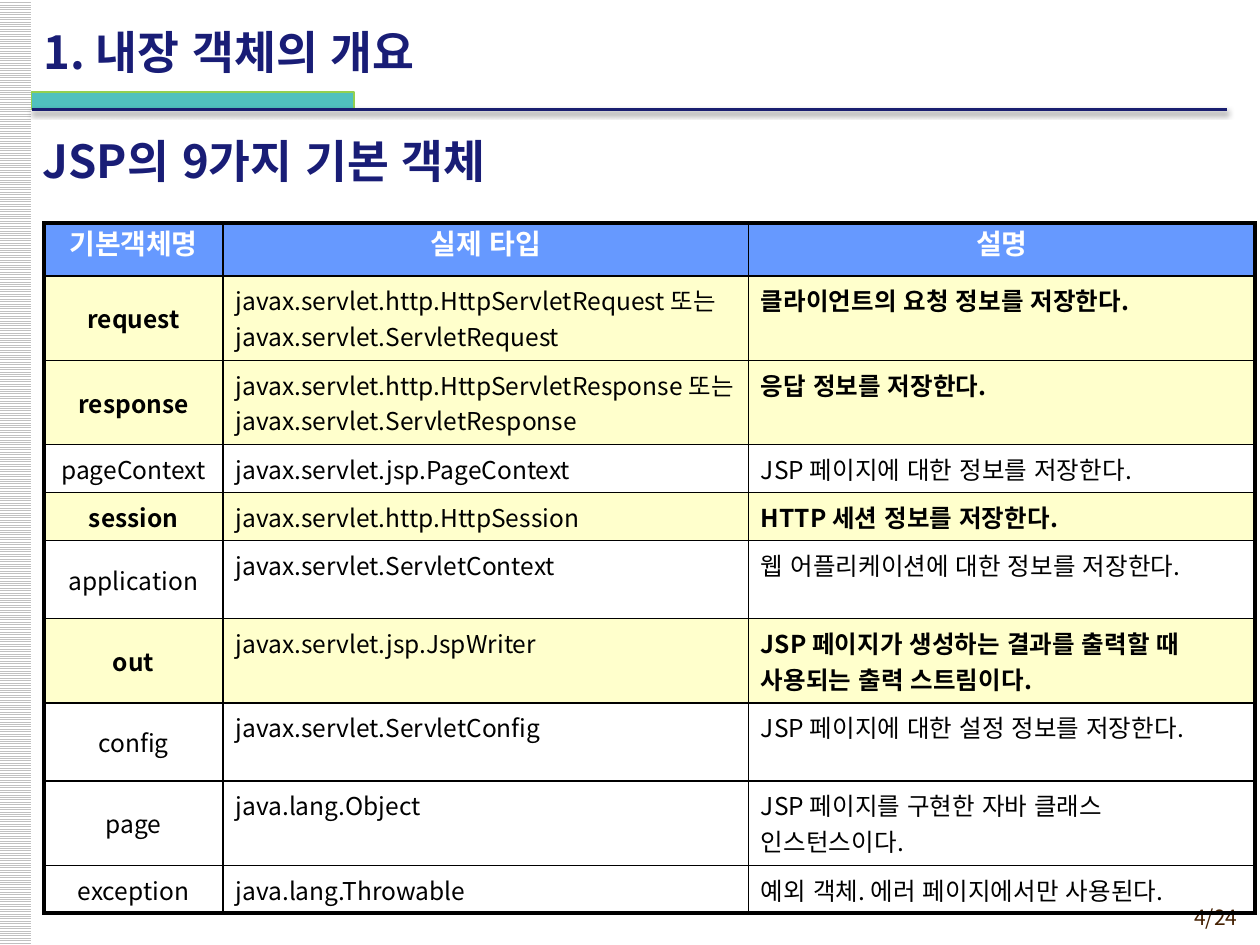
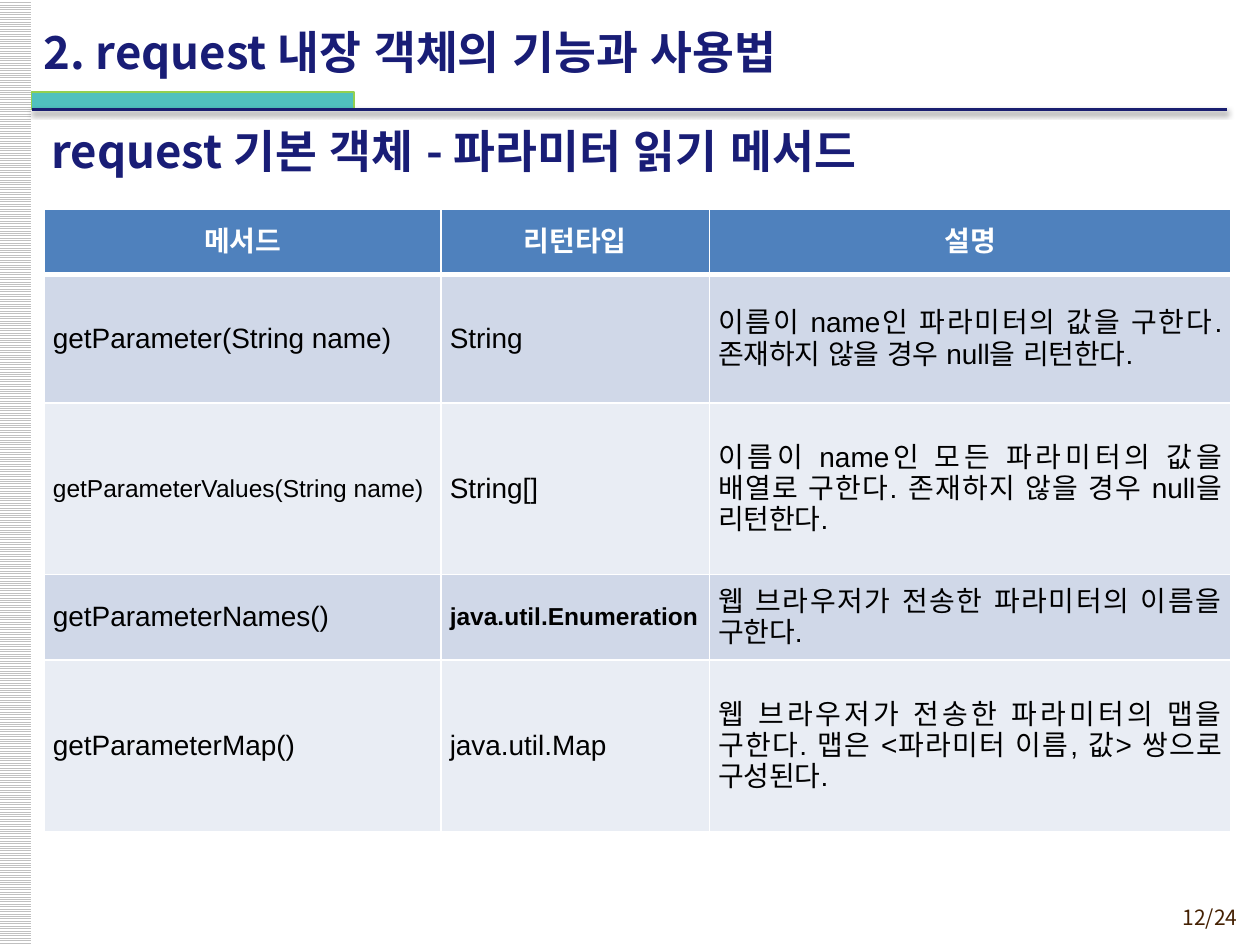
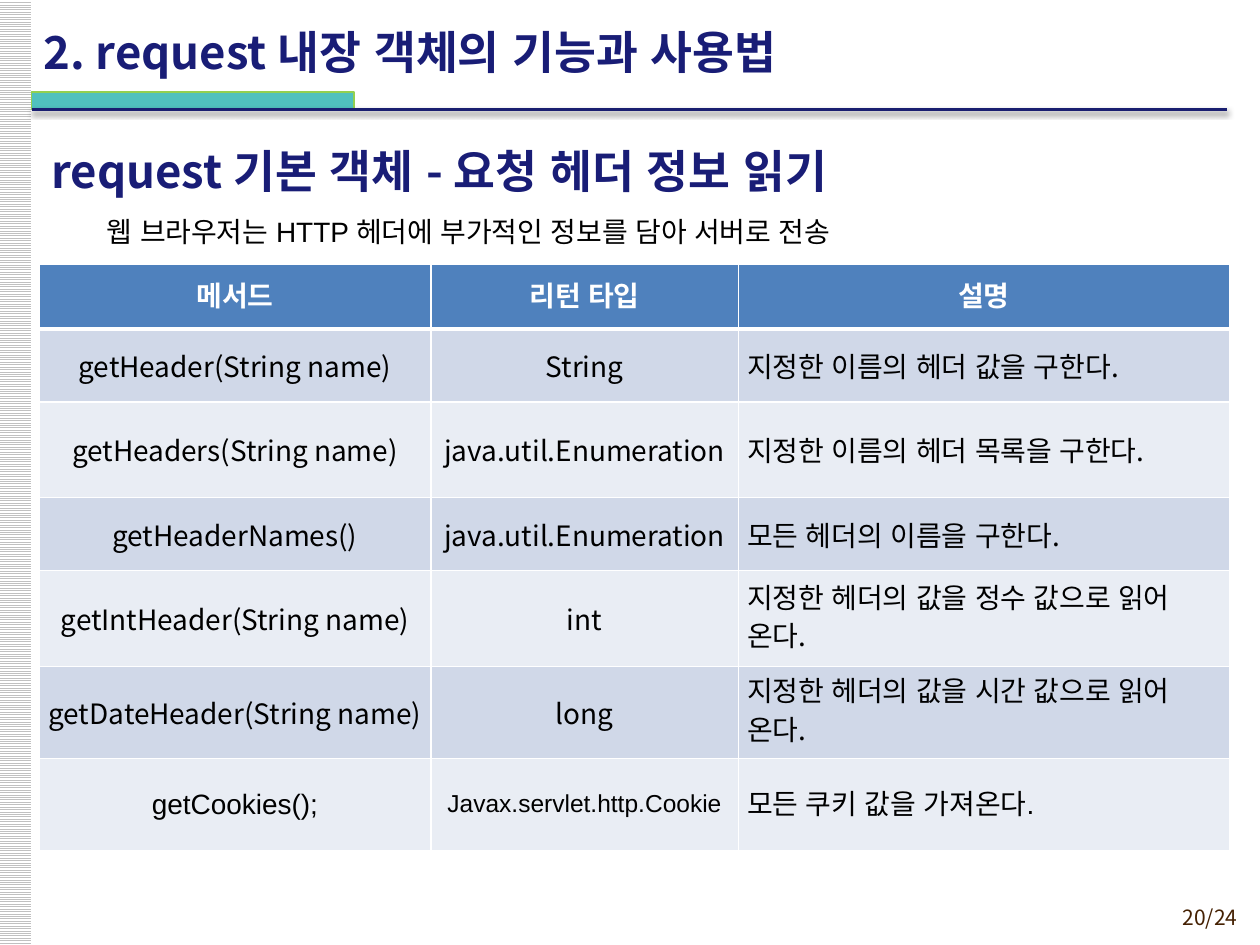
import pptx
import pptx.util
import pptx.dml.color
import pptx.enum.dml
import pptx.enum.shapes
import pptx.enum.text
import pptx.oxml
import pptx.oxml.ns

Inches, Pt = pptx.util.Inches, pptx.util.Pt
ALIGN = {"l": pptx.enum.text.PP_ALIGN.LEFT, "c": pptx.enum.text.PP_ALIGN.CENTER,
         "r": pptx.enum.text.PP_ALIGN.RIGHT, "j": pptx.enum.text.PP_ALIGN.JUSTIFY}
ANCHOR = {"t": pptx.enum.text.MSO_ANCHOR.TOP, "m": pptx.enum.text.MSO_ANCHOR.MIDDLE}

KOREAN, LATIN = "Noto Sans CJK KR", "Arial"
COLORS = {"title": "191D76", "rule": "191E70", "accent": "50C1BE", "accent_edge": "92D050",
          "stripe": "C0C0C0", "white": "FFFFFF", "black": "000000", "page": "452103",
          "object_head": "6699FF", "highlight": "FFFFCC",
          "method_head": "4F81BD", "band_dark": "D0D8E8", "band_light": "E9EDF4"}
W, H = 10, 7.5
EDGE = 0.25          # right side of the striped margin
TOTAL_PAGES = 24

# ---- Content ----
REQUEST_TITLE = "2. request 내장 객체의 기능과 사용법"
SMALL = {"size": 14}

OBJECTS = [
    ("기본객체명", "실제 타입", "설명"),
    ("request", "javax.servlet.http.HttpServletRequest 또는 javax.servlet.ServletRequest",
     "클라이언트의 요청 정보를 저장한다."),
    ("response", "javax.servlet.http.HttpServletResponse 또는 javax.servlet.ServletResponse",
     "응답 정보를 저장한다."),
    ("pageContext", "javax.servlet.jsp.PageContext", "JSP 페이지에 대한 정보를 저장한다."),
    ("session", "javax.servlet.http.HttpSession", "HTTP 세션 정보를 저장한다."),
    ("application", "javax.servlet.ServletContext", "웹 어플리케이션에 대한 정보를 저장한다."),
    ("out", "javax.servlet.jsp.JspWriter",
     "JSP 페이지가 생성하는 결과를 출력할 때 사용되는 출력 스트림이다."),
    ("config", "javax.servlet.ServletConfig", "JSP 페이지에 대한 설정 정보를 저장한다."),
    ("page", "java.lang.Object", "JSP 페이지를 구현한 자바 클래스 인스턴스이다."),
    ("exception", "java.lang.Throwable", "예외 객체. 에러 페이지에서만 사용된다."),
]
KEY_OBJECTS = {"request", "response", "session", "out"}

# A cell is its text, or its text with a format of its own
PARAMETERS = [
    ("메서드", "리턴타입", "설명"),
    ("getParameter(String name)", "String",
     "이름이 name인 파라미터의 값을 구한다. 존재하지 않을 경우 null을 리턴한다."),
    (("getParameterValues(String name)", SMALL), "String[]",
     "이름이 name인 모든 파라미터의 값을 배열로 구한다. 존재하지 않을 경우 null을 리턴한다."),
    ("getParameterNames()", ("java.util.Enumeration", {"size": 14, "bold": True}),
     "웹 브라우저가 전송한 파라미터의 이름을 구한다."),
    ("getParameterMap()", "java.util.Map",
     "웹 브라우저가 전송한 파라미터의 맵을 구한다. 맵은 <파라미터 이름, 값> 쌍으로 구성된다."),
]

HEADERS = [
    ("메서드", "리턴 타입", "설명"),
    ("getHeader(String name)", "String", "지정한 이름의 헤더 값을 구한다."),
    ("getHeaders(String name)", "java.util.Enumeration", "지정한 이름의 헤더 목록을 구한다."),
    ("getHeaderNames()", "java.util.Enumeration", "모든 헤더의 이름을 구한다."),
    ("getIntHeader(String name)", "int", "지정한 헤더의 값을 정수 값으로 읽어 온다."),
    ("getDateHeader(String name)", "long", "지정한 헤더의 값을 시간 값으로 읽어 온다."),
    (("getCookies();", {"font": LATIN}),
     ("Javax.servlet.http.Cookie", {"font": LATIN, "size": 14}),
     ("모든 쿠키 값을 가져온다.", {"font": LATIN})),
]


# ---- Helpers ----
def rgb(name):
    return pptx.dml.color.RGBColor.from_string(COLORS[name])


def write(tf, text, size=16, font=KOREAN, color="black", bold=False, align="l"):
    p = tf.paragraphs[0]
    p.alignment = ALIGN[align]
    r = p.add_run()
    r.text = text
    r.font.size, r.font.bold, r.font.name = Pt(size), bold, font
    r.font.color.rgb = rgb(color)
    # Hangul falls back to the Korean font, with the wider spaces of the Latin one
    ea = pptx.oxml.parse_xml(f'<a:ea {pptx.oxml.ns.nsdecls("a")} typeface="{LATIN}"/>')
    r.font._element.append(ea)


def add_text(s, box, text, anchor="t", wrap=True, **fmt):
    tf = s.shapes.add_textbox(*map(Inches, box)).text_frame
    tf.word_wrap = wrap
    tf.vertical_anchor = ANCHOR[anchor]
    write(tf, text, **fmt)


def add_heading(s, box, text):
    add_text(s, box, text, anchor="m", size=26, color="title", bold=True)


def add_rect(s, *box):
    sp = s.shapes.add_shape(pptx.enum.shapes.MSO_SHAPE.RECTANGLE, *map(Inches, box))
    sp.shadow.inherit = False
    return sp


def add_frame(prs, title, page):
    """Striped margin, page number, title and title rule of every slide."""
    s = prs.slides.add_slide(prs.slide_layouts[6])

    margin = add_rect(s, -0.01, 0, EDGE + 0.01, H)
    margin.fill.patterned()
    margin.fill.pattern = pptx.enum.dml.MSO_PATTERN.LIGHT_HORIZONTAL
    margin.fill.fore_color.rgb = rgb("stripe")
    margin.fill.back_color.rgb = rgb("white")
    margin.line.fill.background()

    add_text(s, (8.86, 7.13, 1.06, 0.29), f"{page}/{TOTAL_PAGES}",
             size=12, color="page", align="r")

    accent = add_rect(s, EDGE, 0.73, 2.56, 0.14)
    accent.fill.solid()
    accent.fill.fore_color.rgb = rgb("accent")
    accent.line.color.rgb = rgb("accent_edge")
    accent.line.width = Pt(0.75)

    rule = s.shapes.add_connector(pptx.enum.shapes.MSO_CONNECTOR.STRAIGHT,
                                  *map(Inches, (EDGE, 0.87, 9.74, 0.87)))
    rule.line.color.rgb = rgb("rule")
    rule.line.width = Pt(2)
    rule._element.spPr.append(pptx.oxml.parse_xml(
        f'<a:effectLst {pptx.oxml.ns.nsdecls("a")}>'
        f'<a:outerShdw blurRad="{Pt(3.1)}" dist="{Pt(1.6)}" dir="5400000" rotWithShape="0">'
        f'<a:srgbClr val="{COLORS["black"]}"><a:alpha val="38000"/></a:srgbClr>'
        '</a:outerShdw></a:effectLst>'))

    add_heading(s, (EDGE, 0.09, 8.27, 0.63), title)
    return s


def set_borders(cell, color, widths):
    tc_pr = cell._tc.get_or_add_tcPr()
    for i, (side, width) in enumerate(zip("LRTB", widths)):
        tc_pr.insert(i, pptx.oxml.parse_xml(
            f'<a:ln{side} {pptx.oxml.ns.nsdecls("a")} w="{Pt(width)}">'
            f'<a:solidFill><a:srgbClr val="{COLORS[color]}"/></a:solidFill></a:ln{side}>'))


def add_table(s, left, top, cols, heights, rows, style, border, col_lines, row_lines):
    """style(row, column, values) gives fill, anchor, insets and text format.

    col_lines and row_lines are the line widths of the grid, outer edges included.
    """
    t = s.shapes.add_table(len(rows), len(cols), *map(
        Inches, (left, top, sum(cols), sum(heights)))).table
    t.horz_banding = False
    for column, width in zip(t.columns, cols):
        column.width = Inches(width)
    for i, (row, height) in enumerate(zip(rows, heights)):
        t.rows[i].height = Inches(height)
        for j, value in enumerate(row):
            text, own = value if isinstance(value, tuple) else (value, {})
            fill, anchor, insets, fmt = style(i, j, row)
            cell = t.cell(i, j)
            cell.vertical_anchor = ANCHOR[anchor]
            if insets:
                cell.margin_left = cell.margin_right = Inches(insets[0])
                cell.margin_top = cell.margin_bottom = Inches(insets[1])
            if fill:
                cell.fill.solid()
                cell.fill.fore_color.rgb = rgb(fill)
            else:
                cell.fill.background()
            set_borders(cell, border, col_lines[j:j + 2] + row_lines[i:i + 2])
            write(cell.text_frame, text, **{**fmt, **own})


# ---- Table styles ----
HEAD_FORMAT = {"color": "white", "bold": True, "align": "c"}


def object_style(i, j, row):
    if i == 0:
        return "object_head", "t", None, HEAD_FORMAT
    key = row[0] in KEY_OBJECTS
    fmt = {"size": 14, "bold": key and j != 1, "align": "l" if j else "c"}
    return "highlight" if key else None, "t" if j else "m", None, fmt


def method_style(font, aligns):
    def style(i, j, row):
        if i == 0:
            fill, fmt = "method_head", HEAD_FORMAT
        else:
            fill, fmt = "band_dark" if i % 2 else "band_light", {"align": aligns[j]}
        return fill, "m", (0.07, 0), {"font": font, **fmt}
    return style


def add_method_table(s, left, top, cols, heights, rows, font, aligns):
    add_table(s, left, top, cols, heights, rows, method_style(font, aligns), "white",
              [1] * (len(cols) + 1), [1, 3] + [1] * (len(rows) - 1))


# ---- Slides ----
def main():
    prs = pptx.Presentation()
    prs.slide_width, prs.slide_height = Inches(W), Inches(H)

    # The nine built-in objects
    s = add_frame(prs, "1. 내장 객체의 개요", 4)
    add_heading(s, (0.24, 0.92, 9.1, 0.71), "JSP의 9가지 기본 객체")
    one, loose, two = 0.38, 0.62, 0.67      # one line, one with room below, two lines
    add_table(s, 0.35, 1.77, [1.42, 4.17, 4.02],
              [0.42, two, two, one, one, loose, two, loose, two, one], OBJECTS,
              object_style, "black", [2.25, 1, 1, 2.25],
              [2.25] + [1] * (len(OBJECTS) - 1) + [2.25])

    # Methods that read parameters
    s = add_frame(prs, REQUEST_TITLE, 12)
    add_heading(s, (0.31, 0.87, 9.45, 0.64), "request 기본 객체 - 파라미터 읽기 메서드")
    add_method_table(s, 0.35, 1.66, [3.15, 2.13, 4.14], [0.52, 1.02, 1.36, 0.68, 1.36],
                     PARAMETERS, LATIN, "jjj")

    # Methods that read request headers
    s = add_frame(prs, REQUEST_TITLE, 20)
    add_heading(s, (0.31, 1.03, 9.45, 0.64), "request 기본 객체 - 요청 헤더 정보 읽기")
    add_method_table(s, 0.31, 2.1, [3.11, 2.44, 3.9],
                     [0.51, 0.58, 0.76, 0.58, 0.76, 0.73, 0.73], HEADERS, KOREAN, "ccl")
    add_text(s, (0.75, 1.65, 6.53, 0.37),
             "웹 브라우저는 HTTP 헤더에 부가적인 정보를 담아 서버로 전송", wrap=False, font=LATIN)

    prs.save("out.pptx")


if __name__ == "__main__":
    main()
